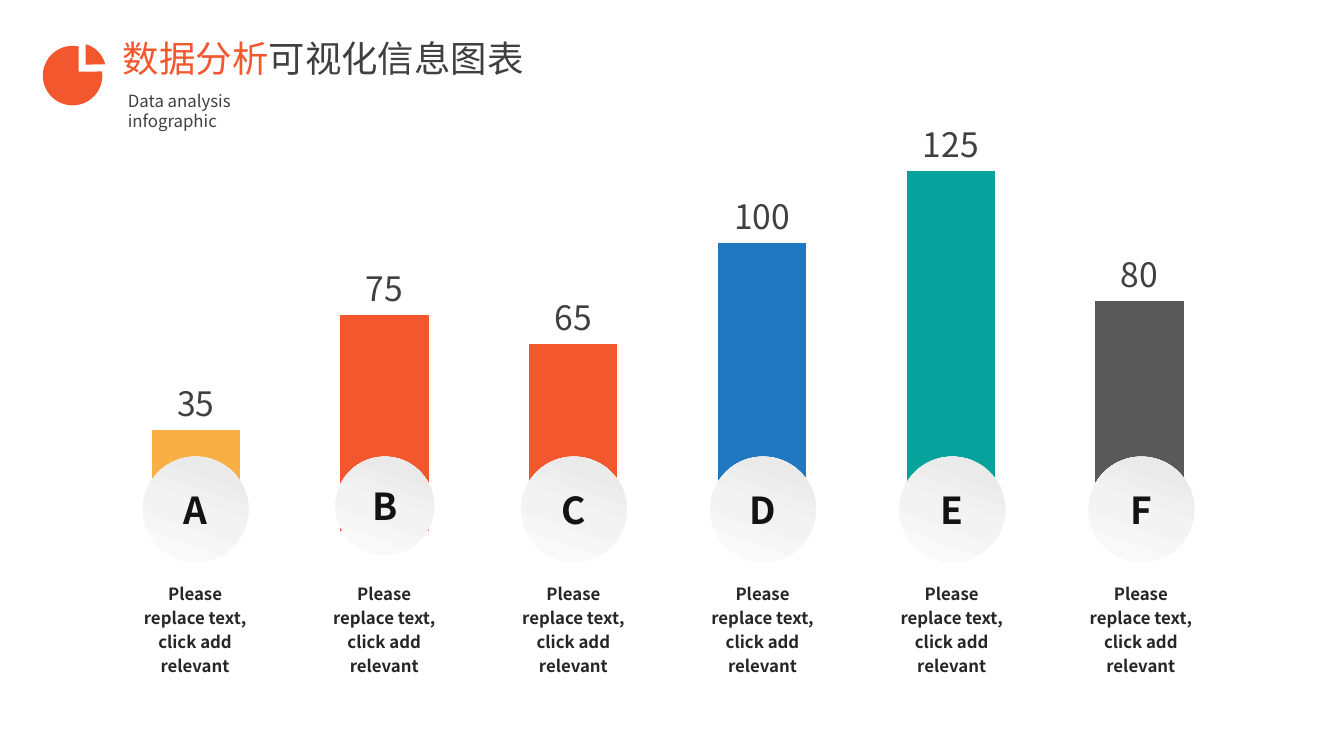
from copy import deepcopy
from dataclasses import dataclass
from math import cos, radians, sin

from lxml.etree import SubElement
from pptx import Presentation
from pptx.chart.data import CategoryChartData
from pptx.dml.color import RGBColor
from pptx.enum.chart import XL_CHART_TYPE as ChartType, XL_LABEL_POSITION as LabelPosition
from pptx.enum.shapes import MSO_SHAPE as Preset
from pptx.enum.text import MSO_ANCHOR as Anchor, PP_ALIGN as Align
from pptx.oxml import parse_xml
from pptx.oxml.ns import nsdecls, qn
from pptx.util import Inches, Pt


@dataclass(frozen=True)
class Theme:
    font: str = "Noto Sans CJK SC"
    chart_font: str = "Calibri"
    accent: str = "F3572D"
    heading: str = "404040"
    letter: str = "131313"
    body: str = "262626"
    series: str = "4472C4"
    bars: tuple = ("F9AF44", "F3572D", "F3572D", "2078C2", "05A39C", "595959")
    disc: tuple = ((0.13, "F9F9F9"), (0.48, "F3F3F3"), (0.84, "EAEAEA"))
    title_size: float = 26
    letter_size: float = 26.5
    value_size: float = 24
    chart_size: float = 18
    body_size: float = 12


THEME = Theme()
VALUES = (35, 75, 65, 100, 125, 80)
LETTERS = "ABCDEF"
PITCH = 1.876
CAPTION = "Please replace text, click add relevant"


def rgb(color):
    return RGBColor.from_string(color)


def style_font(font, size, color, **extra):
    formats = {"name": THEME.font, "size": Pt(size), **extra}
    for name, value in formats.items():
        setattr(font, name, value)
    font.color.rgb = rgb(color)


def add_run(paragraph, text, size, color, **extra):
    run = paragraph.add_run()
    run.text = text
    style_font(run.font, size, color, **extra)
    # East Asian characters take their own typeface
    SubElement(run.font._element, qn("a:ea")).set("typeface", THEME.font)


def add_text(slide, box, runs, wrap=True, **paragraph_format):
    frame = slide.shapes.add_textbox(*map(Inches, box)).text_frame
    frame.word_wrap = wrap
    paragraph = frame.paragraphs[0]
    for name, value in paragraph_format.items():
        setattr(paragraph, name, value)
    for text, size, color, bold in runs:
        add_run(paragraph, text, size, color, bold=bold)


def arc(x, y, radius, start, end, steps=48):
    angles = (radians(start + (end - start) * i / steps) for i in range(steps + 1))
    return [(x + radius * cos(angle), y + radius * sin(angle)) for angle in angles]


def add_pie_icon(slide, left, top):
    # Pie with its upper right slice pulled out
    outlines = (
        arc(0.3, 0.31, 0.295, -8, 282) + [(0.36, 0.27)],
        arc(0.36, 0.26, 0.27, -75, -13) + [(0.43, 0.2)],
    )
    scale = 914400
    builder = None
    for outline in outlines:
        points = [(round(x * scale), round(y * scale)) for x, y in outline]
        if builder is None:
            builder = slide.shapes.build_freeform(*points[0])
        else:
            builder.move_to(*points[0])
        builder.add_line_segments(points[1:], close=True)
    icon = builder.convert_to_shape(Inches(left), Inches(top))
    icon.shadow.inherit = False
    icon.fill.solid()
    icon.fill.fore_color.rgb = rgb(THEME.accent)
    icon.line.fill.background()


def add_header(slide, left, top):
    add_text(slide, (left + 0.7, top, 4.19, 0.54), [
        ("数据分析", THEME.title_size, THEME.accent, False),
        ("可视化信息图表", THEME.title_size, THEME.heading, False),
    ], wrap=False)
    add_pie_icon(slide, left, top + 0.13)
    add_text(slide, (left + 0.75, top + 0.54, 2.1, 0.3),
             [("Data analysis infographic", THEME.body_size, THEME.heading, False)])


def add_column_chart(slide, box):
    data = CategoryChartData()
    data.categories = [str(number) for number in range(1, len(VALUES) + 1)]
    data.add_series("Series 1", VALUES)
    chart = slide.shapes.add_chart(
        ChartType.COLUMN_CLUSTERED, *map(Inches, box), data).chart
    chart.has_legend = False
    chart.has_title = False
    style_font(chart.font, THEME.chart_size, "000000", name=THEME.chart_font)

    # Hidden axes with a fixed scale
    chart.category_axis.visible = False
    axis = chart.value_axis
    axis_format = {"visible": False, "has_major_gridlines": False,
                   "minimum_scale": 0, "maximum_scale": 140, "major_unit": 20}
    for name, value in axis_format.items():
        setattr(axis, name, value)

    # Columns and value labels
    plot = chart.plots[0]
    plot.gap_width = 114
    plot.vary_by_categories = False
    series = plot.series[0]
    series.format.fill.solid()
    series.format.fill.fore_color.rgb = rgb(THEME.series)
    for index, color in enumerate(THEME.bars):
        fill = series.points[index].format.fill
        fill.solid()
        fill.fore_color.rgb = rgb(color)
    labels = series.data_labels
    labels.show_value = True
    labels.position = LabelPosition.OUTSIDE_END
    style_font(labels.font, THEME.value_size, THEME.heading)

    # Inner plot area as fractions of the chart
    plot_area = chart._chartSpace.chart.plotArea
    for old_layout in plot_area.findall(qn("c:layout")):
        plot_area.remove(old_layout)
    places = "".join(f'<c:{name} val="{value}"/>' for name, value in (
        ("layoutTarget", "inner"), ("xMode", "edge"), ("yMode", "edge"),
        ("x", 0.035), ("y", 0.069), ("w", 0.923), ("h", 0.931)))
    plot_area.insert(0, parse_xml(
        f'<c:layout {nsdecls("c")}><c:manualLayout>{places}</c:manualLayout></c:layout>'))


def fill_disc(fill):
    fill.gradient()
    fill.gradient_angle = 70
    stop_list = fill.gradient_stops[0]._gs.getparent()
    stop_list.append(deepcopy(stop_list[-1]))
    for stop, (position, color) in zip(fill.gradient_stops, THEME.disc):
        stop.position = position
        stop.color.rgb = rgb(color)


def add_disc(slide, letter, center, top, size):
    disc = slide.shapes.add_shape(
        Preset.OVAL, *map(Inches, (center - size / 2, top, size, size)))
    disc.shadow.inherit = False
    disc.line.fill.background()
    fill_disc(disc.fill)
    frame = disc.text_frame
    frame_format = {"vertical_anchor": Anchor.MIDDLE, "word_wrap": True,
                    "margin_left": Inches(0.04), "margin_right": Inches(0.04),
                    "margin_top": Inches(0.02), "margin_bottom": Inches(0.02)}
    for name, value in frame_format.items():
        setattr(frame, name, value)
    paragraph = frame.paragraphs[0]
    paragraph.alignment = Align.CENTER
    add_run(paragraph, letter, THEME.letter_size, THEME.letter, bold=True)


def add_category_row(slide, left, top):
    for index, letter in enumerate(LETTERS):
        column = left + index * PITCH
        size = 0.98 if letter == "B" else 1.05
        add_disc(slide, letter, column + 0.68, top, size)
        add_text(slide, (column, top + 1.17, 1.35, 0.81),
                 [(CAPTION, THEME.body_size, THEME.body, True)],
                 alignment=Align.CENTER, line_spacing=1.2)


def main():
    presentation = Presentation()
    presentation.slide_width = Inches(13.33)
    presentation.slide_height = Inches(7.5)
    slide = presentation.slides.add_slide(presentation.slide_layouts[6])
    add_header(slide, 0.42, 0.31)
    add_column_chart(slide, (0.58, 0.97, 12.17, 4.3))
    add_category_row(slide, 1.26, 4.53)
    presentation.save("out.pptx")


if __name__ == "__main__":
    main()
